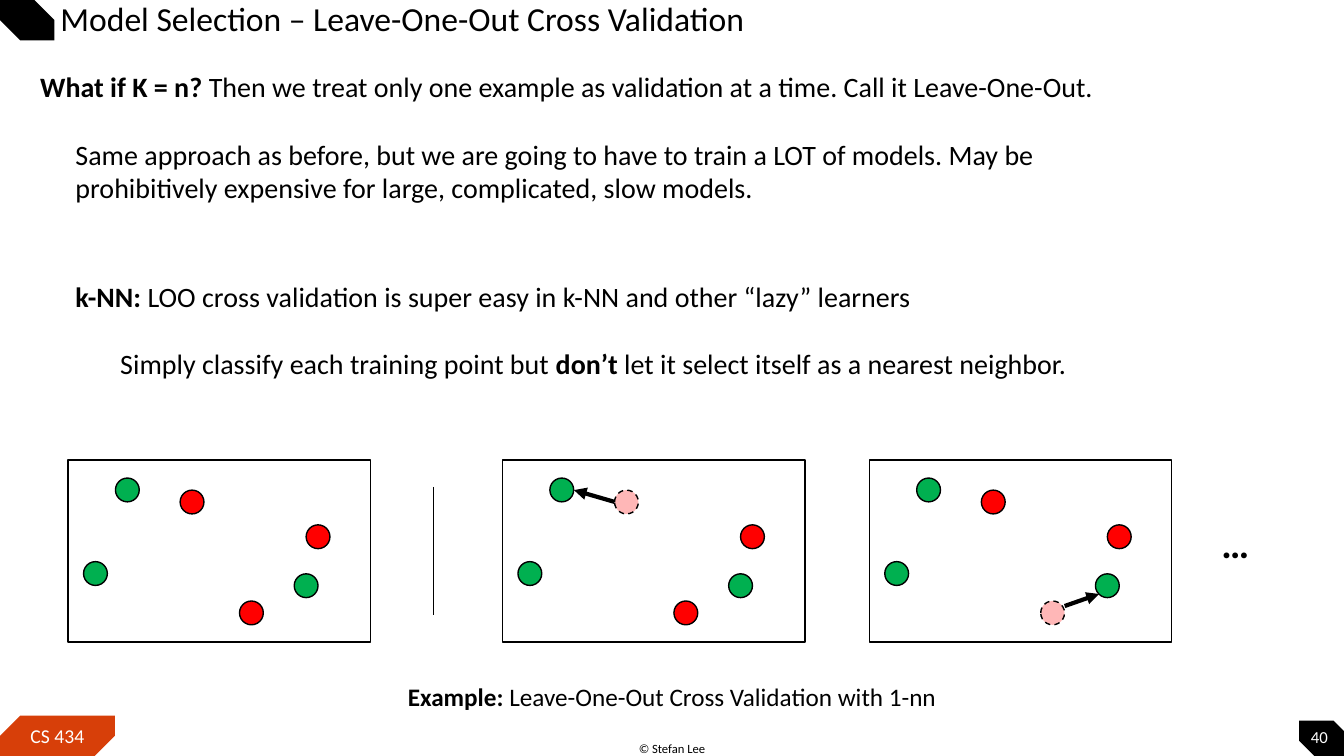
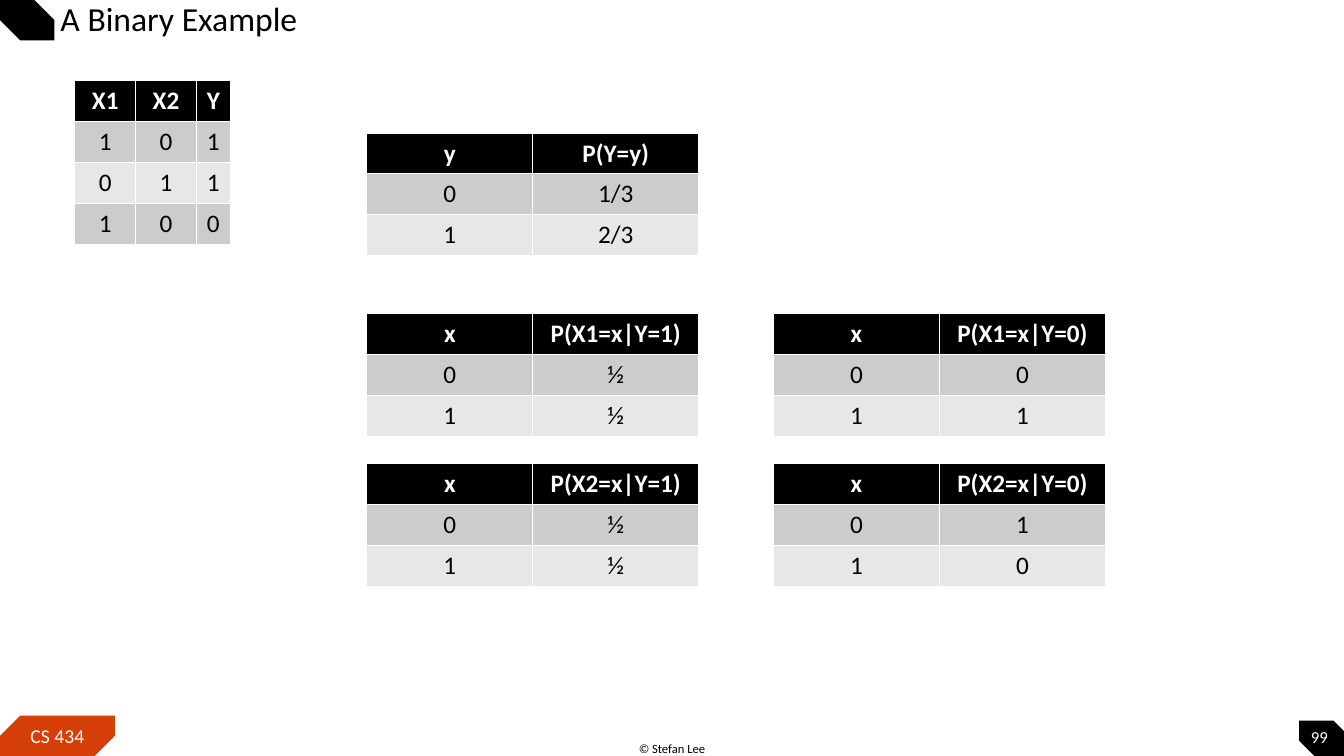
from lxml import etree
from pptx import Presentation
from pptx import util as u
from pptx.dml.color import RGBColor
from pptx.enum import dml, shapes, text
from pptx.oxml.ns import qn

Pt = u.Pt
FONT = "Calibri"
COLORS = {
    "black": "000000", "white": "FFFFFF", "orange": "D73F09",
    "red": "FF0000", "green": "00B050", "held_out": "FFB7B7",
    "band_dark": "CCCCCC", "band_light": "E7E7E7",
}
LEFT, CENTER = text.PP_ALIGN.LEFT, text.PP_ALIGN.CENTER
MIDDLE, TOP = text.MSO_ANCHOR.MIDDLE, text.MSO_ANCHOR.TOP

ROW_HEIGHT = 29.2
DOT_SIZE = 17
PANEL_SIZE = (216, 130)
PANEL_TOP = 328.5
# Name: (left, top, class), measured from the corner of a panel.
DOTS = {
    "upper_red": (80, 21.6, "red"),
    "right_red": (170, 46.4, "red"),
    "lower_red": (122.4, 100.8, "red"),
    "right_green": (161.5, 81.4, "green"),
    "left_green": (11, 72.7, "green"),
    "upper_green": (33.8, 13, "green"),
}


def color(name):
    return RGBColor.from_string(COLORS[name])


def assign(target, values):
    for name, value in values.items():
        setattr(target, name, value)


def paint(shape, fill=None, line=None):
    shape.shadow.inherit = False
    if fill:
        shape.fill.solid()
        shape.fill.fore_color.rgb = color(fill)
    else:
        shape.fill.background()
    if line:
        shape.line.color.rgb = color(line)
        shape.line.width = Pt(1)
    else:
        shape.line.fill.background()


def write(para, spans, size, ink="black", align=LEFT):
    """Fill a paragraph from a string or a list of (string, bold) pairs."""
    para.alignment = align
    for words, bold in [(spans, False)] if isinstance(spans, str) else spans:
        span = para.add_run()
        span.text = words
        assign(span.font, {"name": FONT, "size": Pt(size), "bold": bold})
        span.font.color.rgb = color(ink)


def set_frame(frame, anchor=TOP, insets=(7.2, 3.6, 7.2, 3.6)):
    left, top, right, bottom = map(Pt, insets)
    assign(frame, {
        "word_wrap": True, "auto_size": text.MSO_AUTO_SIZE.NONE,
        "vertical_anchor": anchor, "margin_left": left, "margin_top": top,
        "margin_right": right, "margin_bottom": bottom,
    })


def add_text(page, box, spans, size, ink="black", align=LEFT, **frame_values):
    frame = page.shapes.add_textbox(*map(Pt, box)).text_frame
    set_frame(frame, **frame_values)
    write(frame.paragraphs[0], spans, size, ink, align)
    return frame


def add_line(page, start, end, width, arrow=False):
    line = page.shapes.add_connector(
        shapes.MSO_CONNECTOR.STRAIGHT, *map(Pt, start + end))
    line.line.color.rgb = color("black")
    line.line.width = Pt(width)
    properties = line._element.spPr
    if arrow:
        outline = properties.find(qn("a:ln"))
        etree.SubElement(outline, qn("a:tailEnd"), type="triangle")
    etree.SubElement(properties, qn("a:effectLst"))


def add_badge(page, box, fill, snips):
    """Rectangle with two opposite corners cut off."""
    badge = page.shapes.add_shape(
        shapes.MSO_SHAPE.SNIP_2_DIAG_RECTANGLE, *map(Pt, box))
    badge.adjustments[0], badge.adjustments[1] = snips
    paint(badge, fill)
    return badge


def add_page(deck, title, number):
    """Title-only slide with the corner badges, footer and page number."""
    page = deck.slides.add_slide(deck.slide_layouts[5])
    falling, rising = (0, 0.5), (0.5, 0)
    add_badge(page, (928, 514.8, 38.9, 28.8), "black", falling)
    add_badge(page, (0, 0, 38.9, 28.8), "black", falling)
    course = add_badge(page, (0, 511.2, 82, 28.8), "orange", rising).text_frame
    set_frame(course, MIDDLE)
    write(course.paragraphs[0], "CS 434", 14, "white", CENTER)
    add_text(page, (441.5, 525.6, 77, 18), "© Stefan Lee", 9, align=CENTER)
    add_text(page, (928, 514.8, 28.8, 22.3), number, 12, "white", CENTER,
             anchor=MIDDLE, insets=(0, 0, 0, 0))

    heading = page.shapes.title
    assign(heading, {"left": Pt(0), "top": Pt(0.7),
                     "width": Pt(815), "height": Pt(28)})
    set_frame(heading.text_frame, MIDDLE, (43.2, 3.6, 3.6, 3.6))
    para = heading.text_frame.paragraphs[0]
    para.line_spacing = 0.9
    write(para, title, 24)
    return page


def add_panel(page, left, top, held_out=None, arrow=None):
    """Framed scatter of the dots; the held-out one is pale and dashed."""
    frame = page.shapes.add_shape(
        shapes.MSO_SHAPE.RECTANGLE, *map(Pt, (left, top, *PANEL_SIZE)))
    paint(frame, line="black")
    for name, (x, y, fill) in DOTS.items():
        dot = page.shapes.add_shape(
            shapes.MSO_SHAPE.OVAL,
            *map(Pt, (left + x, top + y, DOT_SIZE, DOT_SIZE)))
        paint(dot, "held_out" if name == held_out else fill, "black")
        if name == held_out:
            dot.line.dash_style = dml.MSO_LINE.DASH
    if arrow:
        start, end = ((left + x, top + y) for x, y in arrow)
        add_line(page, start, end, 3, arrow=True)


def add_grid(page, left, top, widths, rows):
    """Table with a black header row and banded rows of grey."""
    table = page.shapes.add_table(
        len(rows), len(widths),
        *map(Pt, (left, top, sum(widths), ROW_HEIGHT * len(rows)))).table
    for column, width in zip(table.columns, widths):
        column.width = Pt(width)
    for r, values in enumerate(rows):
        table.rows[r].height = Pt(ROW_HEIGHT)
        header = r == 0
        band = "black" if header else "band_dark" if r % 2 else "band_light"
        for c, value in enumerate(values):
            cell = table.cell(r, c)
            cell.fill.solid()
            cell.fill.fore_color.rgb = color(band)
            write(cell.text_frame.paragraphs[0], [(value, header)], 18,
                  "white" if header else "black", CENTER)


def build_leave_one_out(deck):
    page = add_page(
        deck, "Model Selection – Leave-One-Out Cross Validation", "40")
    add_text(page, (21.6, 46, 906, 31.5), [
        ("What if K = n? ", True),
        ("Then we treat only one example as validation at a time. "
         "Call it Leave-One-Out.", False)], 20)
    add_text(page, (46.8, 94.4, 774, 55.7),
             "Same approach as before, but we are going to have to train a LOT "
             "of models. May be prohibitively expensive for large, "
             "complicated, slow models.", 20)
    lazy = add_text(page, (46.8, 196, 900, 80), [
        ("k-NN: ", True),
        ("LOO cross validation is super easy in k-NN and other “lazy” "
         "learners", False)], 20)
    detail = lazy.add_paragraph()
    detail._p.get_or_add_pPr().set("marL", str(Pt(32)))
    detail.space_before = Pt(24)
    write(detail, [
        ("Simply classify each training point but ", False), ("don’t", True),
        (" let it select itself as a nearest neighbor.", False)], 20)

    add_panel(page, 48.7, PANEL_TOP)
    add_line(page, (309.6, 347.8), (309.6, 439.2), 0.5)
    add_panel(page, 359, PANEL_TOP, "upper_red", ((80, 30), (51, 21.6)))
    add_panel(page, 621, PANEL_TOP, "lower_red", ((139.5, 104.4), (164, 95.8)))
    add_text(page, (865.4, 367.2, 70, 41), [("…", True)], 28)
    add_text(page, (165, 483, 630, 29), [
        ("Example: ", True),
        ("Leave-One-Out Cross Validation with 1-nn", False)], 18, align=CENTER)


def build_binary_example(deck):
    page = add_page(deck, "A Binary Example", "99")
    add_grid(page, 53.5, 57.7, (43.4, 43.4, 24.2),
             [("X1", "X2", "Y"), "101", "011", "100"])

    near, far = 262, 552.5
    probabilities = [
        (near, 95, "y", "P(Y=y)", "1/3", "2/3"),
        (near, 224, "x", "P(X1=x|Y=1)", "½", "½"),
        (far, 224, "x", "P(X1=x|Y=0)", "0", "1"),
        (near, 331.3, "x", "P(X2=x|Y=1)", "½", "½"),
        (far, 331.3, "x", "P(X2=x|Y=0)", "1", "0"),
    ]
    for left, top, variable, heading, at_zero, at_one in probabilities:
        add_grid(page, left, top, (118.6, 118.6),
                 [(variable, heading), ("0", at_zero), ("1", at_one)])


def main():
    deck = Presentation()
    assign(deck, {"slide_width": Pt(960), "slide_height": Pt(540)})
    build_leave_one_out(deck)
    build_binary_example(deck)
    deck.save("out.pptx")


if __name__ == "__main__":
    main()
